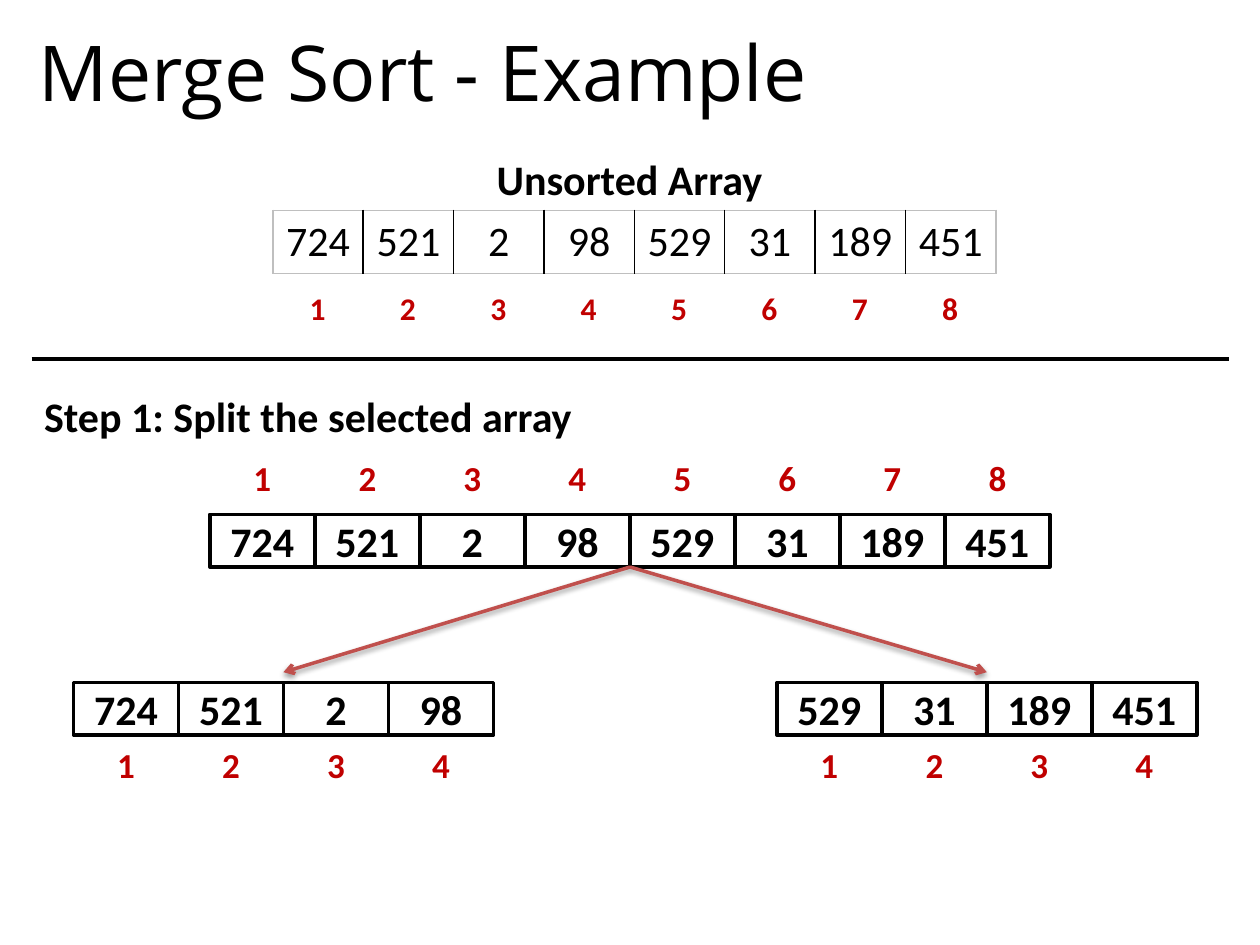
from lxml.etree import SubElement
from pptx import Presentation
from pptx.dml.color import RGBColor
from pptx.enum.shapes import MSO_CONNECTOR as Connector, MSO_SHAPE as Shape
from pptx.enum.text import MSO_ANCHOR as Anchor, PP_ALIGN as Align
from pptx.oxml.ns import qn
from pptx.util import Cm, Pt

COLORS = {"ink": "000000", "index": "C00000", "arrow": "C0504D",
          "paper": "FFFFFF", "frame": "BFBFBF"}
VALUES = [724, 521, 2, 98, 529, 31, 189, 451]
CELL_WIDTH, CELL_HEIGHT = 25.4 / 12, 1.06


def color(name):
    return RGBColor.from_string(COLORS[name])


class ArraySlide:
    """The current slide and the style of its elements."""

    body_font = "Calibri"
    title_font = "Open Sans"

    def __init__(self, presentation):
        self.slide = presentation.slides.add_slide(presentation.slide_layouts[6])

    def set_text(self, frame, text, size, ink="ink", bold=True, align=Align.CENTER, font=None):
        paragraph = frame.paragraphs[0]
        paragraph.text = str(text)
        paragraph.alignment = align
        paragraph.font.name = font or self.body_font
        paragraph.font.size = Pt(size)
        paragraph.font.bold = bold
        paragraph.font.color.rgb = color(ink)

    def text(self, left, top, width, height, text, size, wrap=True, anchor=Anchor.TOP, **style):
        box = self.slide.shapes.add_textbox(Cm(left), Cm(top), Cm(width), Cm(height))
        box.text_frame.word_wrap = wrap
        box.text_frame.vertical_anchor = anchor
        self.set_text(box.text_frame, text, size, **style)

    def table(self, left, top, height, values, bordered=False, **style):
        width = 14.58
        frame = self.slide.shapes.add_table(1, len(values), Cm(left), Cm(top), Cm(width), Cm(height))
        table = frame.table
        table.first_row = table.horz_banding = False
        last = len(values) - 1
        for column, value in enumerate(values):
            table.columns[column].width = Cm(width / len(values))
            cell = table.cell(0, column)
            self.set_text(cell.text_frame, value, **style)
            if bordered:
                self.border(cell, "L", "ink" if column > 0 else "frame")
                self.border(cell, "R", "ink" if column < last else "frame")
                self.border(cell, "T", "frame")
                self.border(cell, "B", "frame")
            cell.fill.background()

    def border(self, cell, side, name):
        properties = cell._tc.get_or_add_tcPr()
        line = SubElement(properties, qn(f"a:ln{side}"), w=str(Pt(1)))
        fill = SubElement(line, qn("a:solidFill"))
        SubElement(fill, qn("a:srgbClr"), val=COLORS[name])

    def row(self, left, top, values, size, ink="ink", outlined=True):
        for column, value in enumerate(values):
            shape = self.slide.shapes.add_shape(
                Shape.RECTANGLE, Cm(left + column * CELL_WIDTH), Cm(top),
                Cm(CELL_WIDTH), Cm(CELL_HEIGHT))
            shape.shadow.inherit = False
            shape.fill.solid()
            shape.fill.fore_color.rgb = color("paper")
            if outlined:
                shape.line.color.rgb = color("ink")
                shape.line.width = Pt(2)
            else:
                shape.line.fill.background()
            shape.text_frame.vertical_anchor = Anchor.MIDDLE
            self.set_text(shape.text_frame, value, size, ink)

    def array(self, left, top, index_top, values):
        self.row(left, top, values, 24)
        self.row(left, index_top, range(1, len(values) + 1), 20, "index", outlined=False)

    def line(self, start, end, name, width, arrow=False):
        connector = self.slide.shapes.add_connector(
            Connector.STRAIGHT, *(Cm(value) for value in start + end))
        connector.line.color.rgb = color(name)
        connector.line.width = Pt(width)
        properties = connector._element.spPr
        if arrow:
            outline = properties.find(qn("a:ln"))
            SubElement(outline, qn("a:tailEnd"), type="arrow")
        effects = SubElement(properties, qn("a:effectLst"))
        if arrow:
            shadow = SubElement(effects, qn("a:outerShdw"), blurRad="40000", dist="20000",
                                dir="5400000", rotWithShape="0")
            tint = SubElement(shadow, qn("a:srgbClr"), val=COLORS["ink"])
            SubElement(tint, qn("a:alpha"), val="38000")


def main():
    presentation = Presentation()
    presentation.slide_width, presentation.slide_height = Cm(25.4), Cm(19.05)
    page = ArraySlide(presentation)

    # Title
    page.text(0.53, 0.3, 24.33, 2.24, "Merge Sort - Example", 44, anchor=Anchor.MIDDLE,
              bold=False, align=Align.LEFT, font=page.title_font)

    # Unsorted array with its indices
    page.table(5.5, 4.24, 1.27, VALUES, bordered=True, size=24, bold=False)
    page.text(9.73, 2.97, 5.92, 1.27, "Unsorted Array", 24, wrap=False)
    page.table(5.49, 5.72, 1.04, range(1, len(VALUES) + 1), size=18, ink="index")
    page.line((0.64, 7.24), (24.77, 7.24), "ink", 2.25)

    # Step 1: the whole array and its two halves
    middle = len(VALUES) // 2
    half_lefts = (1.48, 15.66)
    page.array(4.23, 10.37, 9.1, VALUES)
    page.text(0.64, 7.75, 23.5, 1.27, "Step 1: Split the selected array", 24, align=Align.LEFT)
    for left, half in zip(half_lefts, (VALUES[:middle], VALUES[middle:])):
        page.array(left, 13.76, 14.88, half)

    # Arrows from the split point to the middle of each half
    for left in half_lefts:
        page.line((12.7, 11.43), (left + 2 * CELL_WIDTH, 13.55), "arrow", 2, arrow=True)

    presentation.save("out.pptx")


if __name__ == "__main__":
    main()
